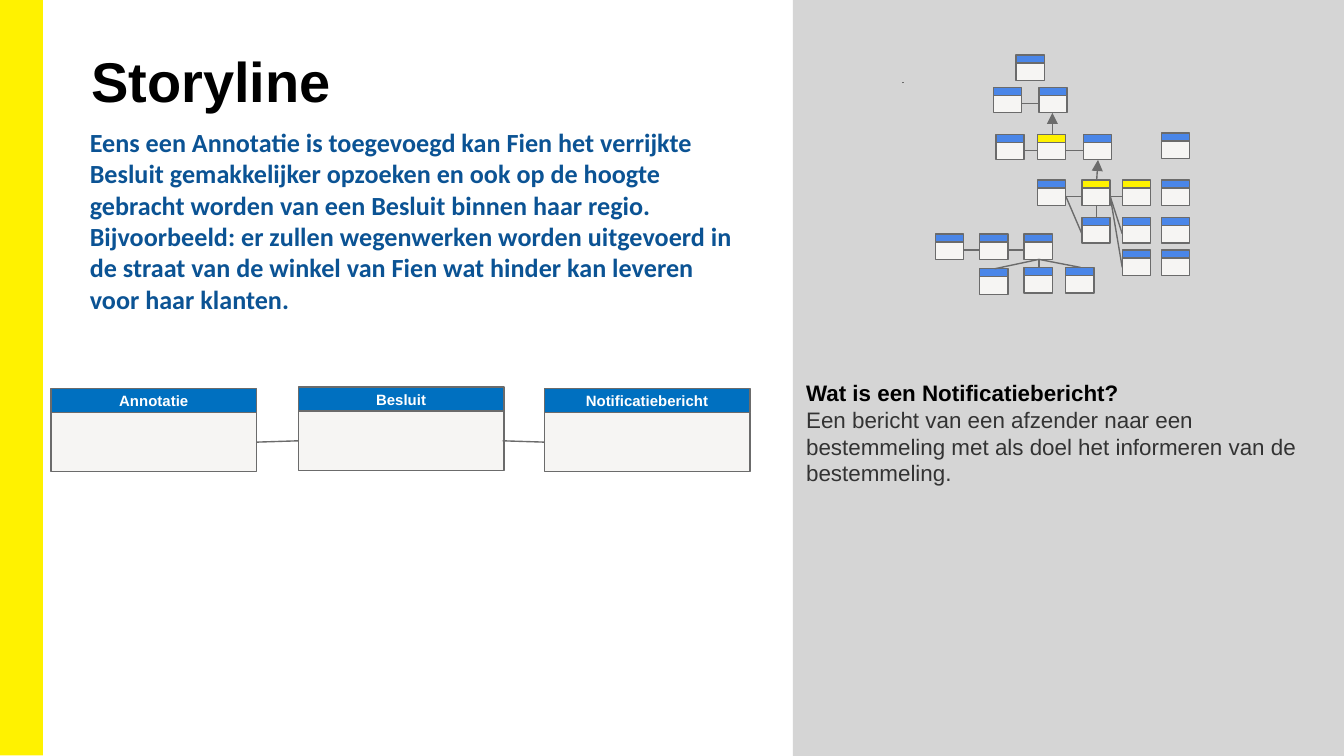
from lxml import etree
from pptx import Presentation, util as u
from pptx.dml.color import RGBColor
from pptx.enum import shapes, text
from pptx.oxml import ns

PX = 9144  # 100 px to the inch
YELLOW = RGBColor(0xFF, 0xF2, 0x00)
WHITE = RGBColor(0xFF, 0xFF, 0xFF)
BLACK = RGBColor(0x00, 0x00, 0x00)
DARK = RGBColor(0x33, 0x33, 0x33)
NAVY = RGBColor(0x0B, 0x53, 0x94)
BLUE = RGBColor(0x00, 0x70, 0xC0)
LIGHT_BLUE = RGBColor(0x4A, 0x86, 0xE8)
PALE = RGBColor(0xF6, 0xF5, 0xF3)
PANEL = RGBColor(0xD5, 0xD5, 0xD5)
GRAY = RGBColor(0x6B, 0x6B, 0x6B)

# A 16:9 slide, 10 inches wide
prs = Presentation()
prs.slide_width = 1000 * PX
prs.slide_height = prs.slide_width * 9 // 16
s = prs.slides.add_slide(prs.slide_layouts[6])


def add_box(parent, x, y, w, h, fill, line=None):
    sp = parent.add_shape(shapes.MSO_SHAPE.RECTANGLE, x * PX, y * PX, w * PX, h * PX)
    sp.shadow.inherit = False
    sp.fill.solid()
    sp.fill.fore_color.rgb = fill
    if line is None:
        sp.line.fill.background()
    else:
        sp.line.color.rgb = line
        sp.line.width = u.Pt(0.75)
    return sp


def add_text(sp, lines, margins, anchor, align=text.PP_ALIGN.LEFT):
    tf = sp.text_frame
    frame = dict(zip(("margin_left", "margin_top", "margin_right", "margin_bottom"),
                     [m * PX for m in margins]))
    frame.update(word_wrap=True, vertical_anchor=anchor)
    for name, value in frame.items():
        setattr(tf, name, value)
    for i, (words, font, size, bold, color) in enumerate(lines):
        p = tf.add_paragraph() if i else tf.paragraphs[0]
        p.alignment = align
        r = p.add_run()
        r.text = words
        for name, value in {"name": font, "size": u.Pt(size), "bold": bold}.items():
            setattr(r.font, name, value)
        r.font.color.rgb = color


# Yellow side bar
add_box(s.shapes, 0, 0, 32, 562, YELLOW)

# Title and story
title = s.shapes.add_textbox(61 * PX, 30 * PX, 897 * PX, 60 * PX)
add_text(title, [("Storyline", "Arial", 30, True, BLACK)], (7, 4, 7, 4),
         text.MSO_ANCHOR.MIDDLE)
story = s.shapes.add_textbox(57 * PX, 89 * PX, 500 * PX, 151 * PX)
sentences = [
    "Eens een Annotatie is toegevoegd kan Fien het verrijkte Besluit gemakkelijker "
    "opzoeken en ook op de hoogte gebracht worden van een Besluit binnen haar regio.",
    "Bijvoorbeeld: er zullen wegenwerken worden uitgevoerd in de straat van de winkel "
    "van Fien wat hinder kan leveren voor haar klanten.",
]
add_text(story, [(t, "Calibri", 14, True, NAVY) for t in sentences], (10, 5, 10, 5),
         text.MSO_ANCHOR.TOP)

# Gray panel with the definition
panel = add_box(s.shapes, 590, 0, 410, 564, PANEL)
add_text(panel, [
    ("Wat is een Notificatiebericht?", "Arial", 12, True, BLACK),
    ("Een bericht van een afzender naar een bestemmeling met als doel het informeren "
     "van de bestemmeling.", "Arial", 12, False, DARK),
], (10, 282, 10, 10), text.MSO_ANCHOR.TOP)

# Large class cards
for x, y, label in [(38, 289, "Annotatie"), (222, 288, "Besluit"),
                    (405, 289, "Notificatiebericht")]:
    card = s.shapes.add_group_shape().shapes
    add_box(card, x, y + 18, 153, 44, PALE, GRAY)
    head = add_box(card, x, y, 153, 18, BLUE, GRAY)
    add_text(head, [(label, "Arial", 8, True, WHITE)], (0, 0, 0, 0),
             text.MSO_ANCHOR.MIDDLE, text.PP_ALIGN.CENTER)

# Small class cards of the overview: row top -> left edges
blue_rows = {
    41: [756], 65: [739, 773], 99: [864], 100: [741, 806], 134: [772, 864],
    162: [805, 835, 864], 186: [835, 864], 174: [696, 729, 762],
    200: [729], 199: [762, 793],
}
yellow_rows = {100: [772], 134: [805, 835]}
for color, rows in [(LIGHT_BLUE, blue_rows), (YELLOW, yellow_rows)]:
    for y, lefts in rows.items():
        for x in lefts:
            mini = s.shapes.add_group_shape().shapes
            add_box(mini, x, y + 6, 21, 13, PALE, GRAY)
            add_box(mini, x, y, 21, 6, color, GRAY)

# Links: x1, y1, x2, y2, arrowhead at the end
links = [
    (191, 329, 222, 328, False), (374, 328, 405, 329, False),
    (729, 186, 717, 186, False), (762, 186, 750, 186, False),
    (773, 77, 760, 77, False), (672, 62, 672, 61, False),
    (772, 112, 762, 112, False), (806, 112, 793, 112, False),
    (835, 146, 826, 146, False), (805, 146, 793, 146, False),
    (835, 174, 826, 146, False), (835, 199, 826, 146, False),
    (805, 174, 793, 146, False), (816, 162, 816, 153, False),
    (783, 100, 783, 84, True), (816, 134, 817, 119, True),
]
links += [(773, 193, x, y, False) for x, y in [(740, 200), (773, 199), (804, 199)]]
for x1, y1, x2, y2, arrow in links:
    c = s.shapes.add_connector(shapes.MSO_CONNECTOR.STRAIGHT,
                               x1 * PX, y1 * PX, x2 * PX, y2 * PX)
    c.line.color.rgb = GRAY
    c.line.width = u.Pt(0.75)
    if arrow:
        etree.SubElement(c.line._get_or_add_ln(), ns.qn("a:tailEnd"), type="triangle")
    etree.SubElement(c._element.spPr, ns.qn("a:effectLst"))

prs.save("out.pptx")
